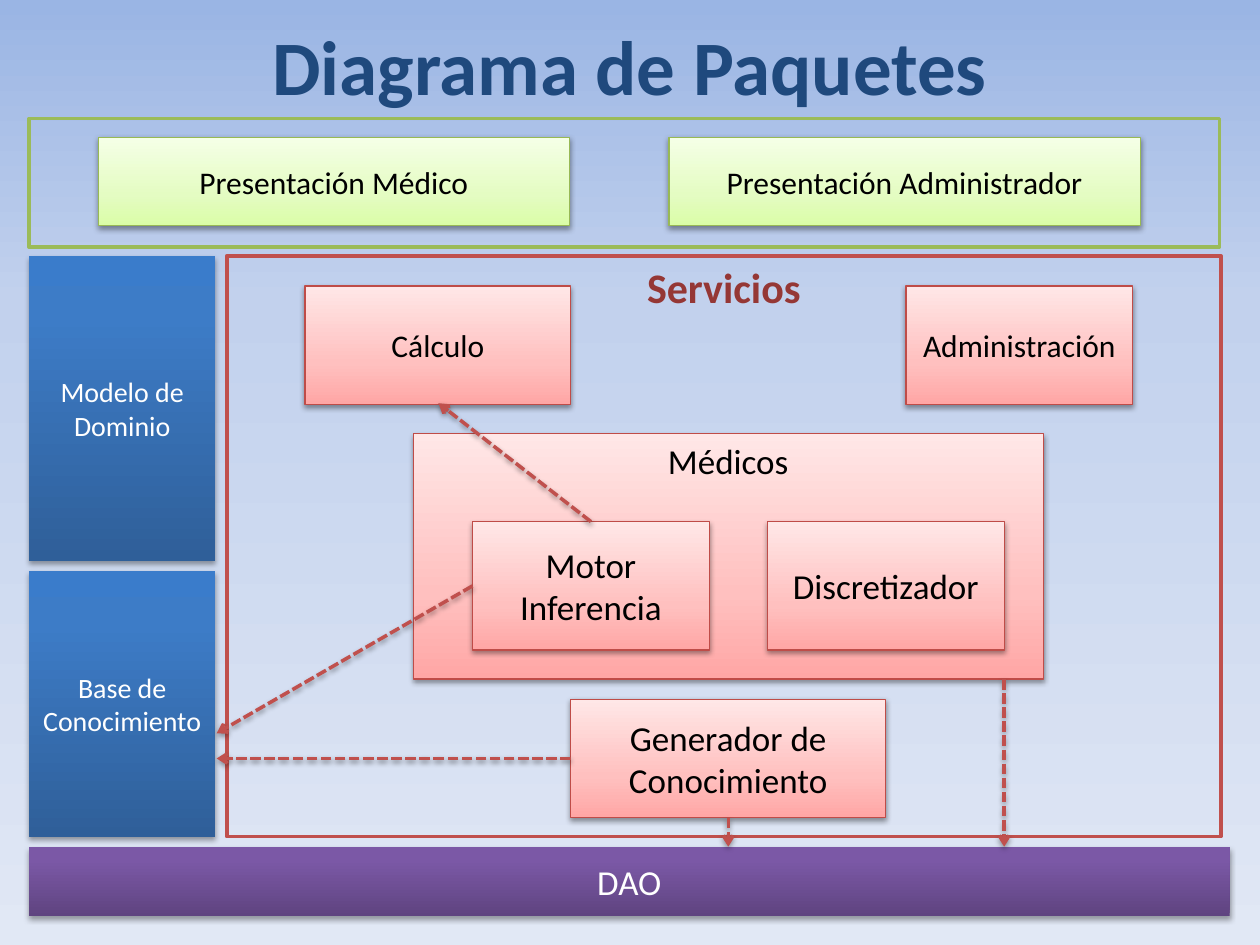
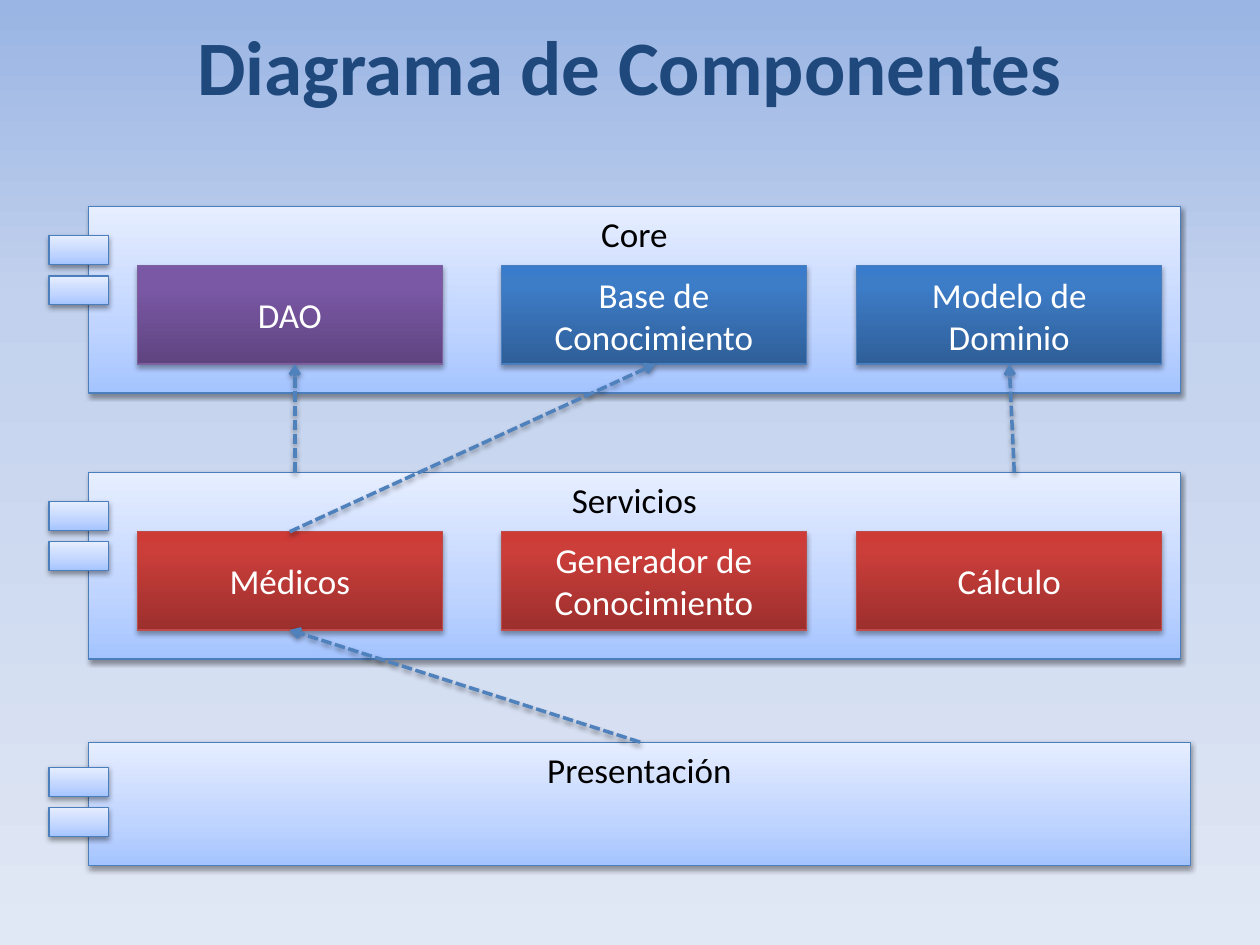
from dataclasses import dataclass
from typing import Optional

import lxml.etree
import pptx
import pptx.dml.color
import pptx.enum.dml
import pptx.enum.shapes
import pptx.enum.text
import pptx.oxml.ns
import pptx.util

Inches = pptx.util.Inches
qn = pptx.oxml.ns.qn
ANCHOR = pptx.enum.text.MSO_ANCHOR
Stops = tuple[tuple[int, str], ...]


# Theme: colours and type sizes
@dataclass(frozen=True)
class Look:
    stops: Stops
    line: str
    text: str = "000000"
    shadow_alpha: int = 38
    shadow_dist: float = 1.6


def light(bottom: str, middle: str, top: str, line: str) -> Look:
    return Look(((0, bottom), (35, middle), (100, top)), line)


def dark(bottom: str, middle: str, top: str, line: str) -> Look:
    return Look(((0, bottom), (80, middle), (100, top)), line, "FFFFFF", 35, 1.8)


@dataclass(frozen=True)
class Theme:
    font: str = "Calibri"
    title_size: int = 44
    heading_size: int = 24
    body_size: int = 20
    label_size: int = 18
    small_size: int = 16
    frame_width: float = 2
    box_width: float = 0.75
    title: str = "1F497D"
    heading: str = "953735"
    red: str = "C0504D"
    green: str = "9BBB59"
    blue: str = "4F81BD"
    background: Stops = ((0, "9AB5E4"), (32, "C2D1ED"), (100, "E1E8F5"))
    pale_red: Look = light("FFA6A5", "FFC0BF", "FFE7E7", "BF4C48")
    pale_green: Look = light("DAFDA7", "E4FCC2", "F5FFE7", "98B955")
    pale_blue: Look = light("A4C4FF", "BFD4FF", "E6EEFF", "4B7EBC")
    deep_red: Look = dark("9C2F2D", "CB3E3A", "CE3B37", "BF4C48")
    deep_blue: Look = dark("2F5F99", "3D7CC7", "3A7CCB", "4B7EBC")
    deep_purple: Look = dark("5F4480", "7B58A6", "7C57A8", "7D60A0")


T = Theme()


@dataclass(frozen=True)
class Box:
    text: str
    left: float
    top: float
    width: float
    height: float
    look: Look
    size: int = T.body_size
    anchor: ANCHOR = ANCHOR.MIDDLE
    outlined: bool = True


@dataclass(frozen=True)
class Arrow:
    x1: float
    y1: float
    x2: float
    y2: float


# Drawing helpers
def rgb(color: str) -> pptx.dml.color.RGBColor:
    return pptx.dml.color.RGBColor.from_string(color)


def set_gradient(fill, element, stops: Stops, angle: int) -> None:
    fill.gradient()
    grad = element.find(".//" + qn("a:gradFill"))
    gs_list = grad.find(qn("a:gsLst"))
    for gs in list(gs_list):
        gs_list.remove(gs)
    for pos, color in stops:
        gs = lxml.etree.SubElement(gs_list, qn("a:gs"), pos=str(pos * 1000))
        lxml.etree.SubElement(gs, qn("a:srgbClr"), val=color)
    grad.find(qn("a:lin")).set("ang", str(angle * 60000))


def add_shadow(sp, alpha: int = 38, dist: float = 1.6) -> None:
    """Downward shadow; call after the fill and line are set."""
    effects = lxml.etree.SubElement(sp.element.spPr, qn("a:effectLst"))
    shadow = lxml.etree.SubElement(
        effects, qn("a:outerShdw"), blurRad=str(pptx.util.Pt(3.1)),
        dist=str(pptx.util.Pt(dist)), dir="5400000", rotWithShape="0")
    color = lxml.etree.SubElement(shadow, qn("a:srgbClr"), val="000000")
    lxml.etree.SubElement(color, qn("a:alpha"), val=str(alpha * 1000))


def write_text(tf, text: str, *, size: int, color: str, bold: bool = False,
               anchor: ANCHOR = ANCHOR.MIDDLE) -> None:
    tf.word_wrap = True
    tf.auto_size = pptx.enum.text.MSO_AUTO_SIZE.NONE
    tf.vertical_anchor = anchor
    p = tf.paragraphs[0]
    p.alignment = pptx.enum.text.PP_ALIGN.CENTER
    r = p.add_run()
    r.text = text
    r.font.name = T.font
    r.font.size = pptx.util.Pt(size)
    r.font.bold = bold
    r.font.color.rgb = rgb(color)


def add_rect(slide, left: float, top: float, width: float, height: float):
    return slide.shapes.add_shape(
        pptx.enum.shapes.MSO_SHAPE.RECTANGLE,
        Inches(left), Inches(top), Inches(width), Inches(height))


def set_line(sp, color: Optional[str], width: float) -> None:
    if color is None:
        sp.line.fill.background()
    else:
        sp.line.color.rgb = rgb(color)
        sp.line.width = pptx.util.Pt(width)


def add_box(slide, box: Box) -> None:
    sp = add_rect(slide, box.left, box.top, box.width, box.height)
    look = box.look
    set_gradient(sp.fill, sp.element.spPr, look.stops, 270)
    set_line(sp, look.line if box.outlined else None, T.box_width)
    add_shadow(sp, look.shadow_alpha, look.shadow_dist)
    if box.text:
        write_text(sp.text_frame, box.text, size=box.size, color=look.text,
                   anchor=box.anchor)


def add_frame(slide, left: float, top: float, width: float, height: float,
              color: str) -> None:
    sp = add_rect(slide, left, top, width, height)
    sp.fill.background()
    set_line(sp, color, T.frame_width)
    sp.shadow.inherit = False


def add_arrow(slide, arrow: Arrow, color: str) -> None:
    sp = slide.shapes.add_connector(
        pptx.enum.shapes.MSO_CONNECTOR.STRAIGHT,
        Inches(arrow.x1), Inches(arrow.y1), Inches(arrow.x2), Inches(arrow.y2))
    set_line(sp, color, T.frame_width)
    sp.line.dash_style = pptx.enum.dml.MSO_LINE.SQUARE_DOT
    lxml.etree.SubElement(sp.element.spPr.find(qn("a:ln")), qn("a:tailEnd"),
                          type="arrow")
    add_shadow(sp)


def add_titled_slide(prs, text: str):
    slide = prs.slides.add_slide(prs.slide_layouts.get_by_name("Title Only"))
    title = slide.shapes.title
    title.left, title.top = Inches(0.75), Inches(0)
    title.width, title.height = Inches(8.5), Inches(1.02)
    write_text(title.text_frame, text, size=T.title_size, color=T.title, bold=True)
    return slide


# Slide 1: packages
def build_packages(prs) -> None:
    slide = add_titled_slide(prs, "Diagrama de Paquetes")
    services = (1.8, 2.03, 7.89, 4.61)
    add_box(slide, Box("Médicos", 3.28, 3.44, 5, 1.95, T.pale_red, anchor=ANCHOR.TOP))
    add_frame(slide, *services, T.red)
    add_frame(slide, 0.23, 0.94, 9.45, 1.02, T.green)

    for box in (
        Box("Motor Inferencia", 3.75, 4.14, 1.88, 1.02, T.pale_red),
        Box("Discretizador", 6.09, 4.14, 1.88, 1.02, T.pale_red),
        Box("Generador de Conocimiento", 4.53, 5.55, 2.5, 0.94, T.pale_red),
        Box("Cálculo", 2.42, 2.27, 2.11, 0.94, T.pale_red, T.label_size),
        Box("Administración", 7.19, 2.27, 1.8, 0.94, T.pale_red, T.label_size),
        Box("DAO", 0.23, 6.72, 9.53, 0.55, T.deep_purple, outlined=False),
        Box("Base de Conocimiento", 0.23, 4.53, 1.48, 2.11, T.deep_blue,
            T.small_size, outlined=False),
        Box("Modelo de Dominio", 0.23, 2.03, 1.48, 2.42, T.deep_blue,
            T.small_size, outlined=False),
        Box("Presentación Médico", 0.78, 1.09, 3.74, 0.7, T.pale_green, T.label_size),
        Box("Presentación Administrador", 5.31, 1.09, 3.74, 0.7, T.pale_green,
            T.label_size),
    ):
        add_box(slide, box)

    # Dependencies between packages
    for arrow in (
        Arrow(4.69, 4.14, 3.48, 3.2),
        Arrow(3.75, 4.65, 1.72, 5.82),
        Arrow(4.53, 6.02, 1.72, 6.02),
        Arrow(5.78, 6.49, 5.78, 6.72),
        Arrow(7.97, 5.39, 7.97, 6.72),
    ):
        add_arrow(slide, arrow, T.red)

    # Heading of the services frame
    left, top, width, _ = services
    sp = slide.shapes.add_textbox(Inches(left), Inches(top), Inches(width), Inches(0.5))
    write_text(sp.text_frame, "Servicios", size=T.heading_size, color=T.heading,
               bold=True, anchor=ANCHOR.TOP)


# Slide 2: components
def add_component(slide, text: str, top: float, width: float, height: float,
                  tab_drop: float) -> None:
    add_box(slide, Box(text, 0.7, top, width, height, T.pale_blue, anchor=ANCHOR.TOP))
    for drop in (tab_drop, tab_drop + 0.32):
        add_box(slide, Box("", 0.39, top + drop, 0.47, 0.23, T.pale_blue))


def build_components(prs) -> None:
    slide = add_titled_slide(prs, "Diagrama de Componentes")
    columns = (1.09, 3.98, 6.8)
    layers = (
        ("Core", 1.64, (("DAO", T.deep_purple),
                        ("Base de Conocimiento", T.deep_blue),
                        ("Modelo de Dominio", T.deep_blue))),
        ("Servicios", 3.75, (("Médicos", T.deep_red),
                             ("Generador de Conocimiento", T.deep_red),
                             ("Cálculo", T.deep_red))),
    )
    for name, top, parts in layers:
        add_component(slide, name, top, 8.67, 1.48, 0.23)
        for left, (text, look) in zip(columns, parts):
            add_box(slide, Box(text, left, top + 0.47, 2.42, 0.78, look))
    add_component(slide, "Presentación", 5.89, 8.75, 0.98, 0.2)

    # Dependencies between components
    for arrow in (
        Arrow(8.05, 3.75, 8.01, 2.89),
        Arrow(2.3, 4.22, 5.2, 2.89),
        Arrow(5.08, 5.89, 2.3, 5),
        Arrow(2.34, 3.75, 2.34, 2.89),
    ):
        add_arrow(slide, arrow, T.blue)


def main() -> None:
    prs = pptx.Presentation()
    prs.slide_width, prs.slide_height = Inches(10), Inches(7.5)
    master = prs.slide_master
    set_gradient(master.background.fill, master.element, T.background, 90)
    build_packages(prs)
    build_components(prs)
    prs.save("out.pptx")


if __name__ == "__main__":
    main()
